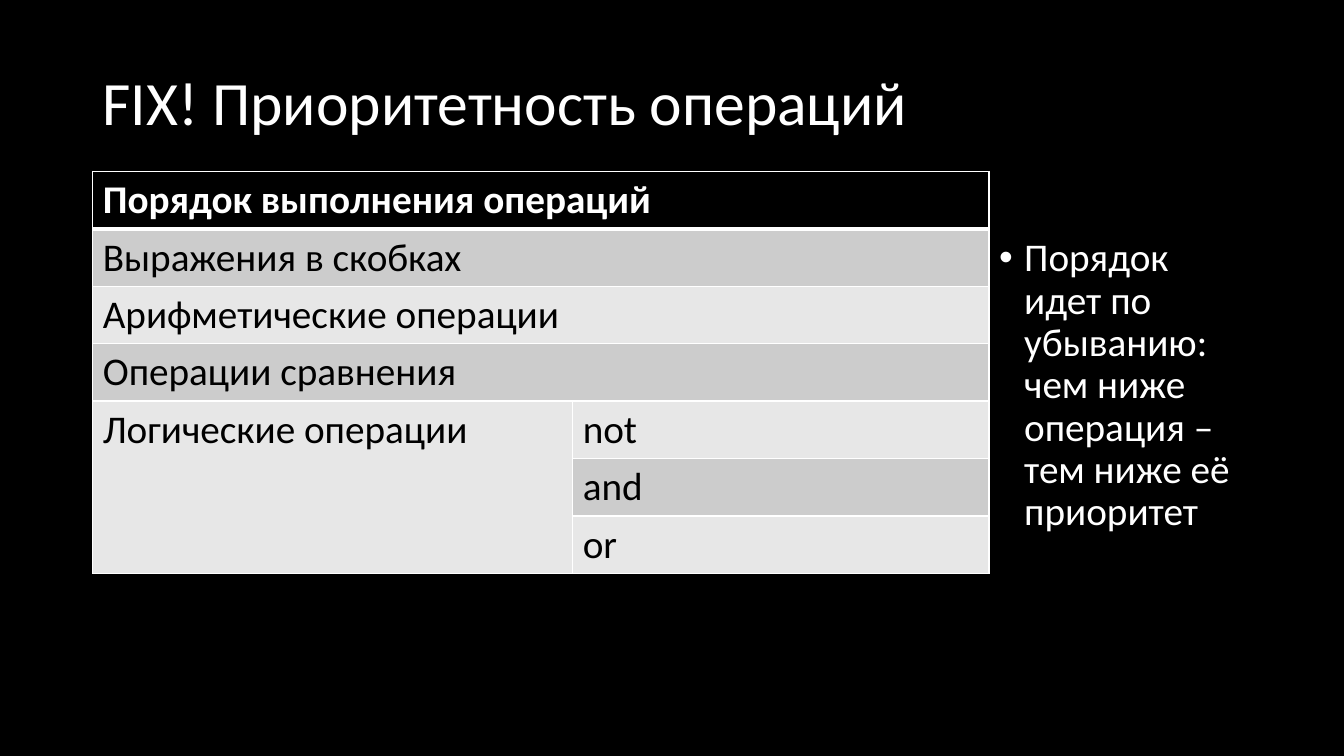
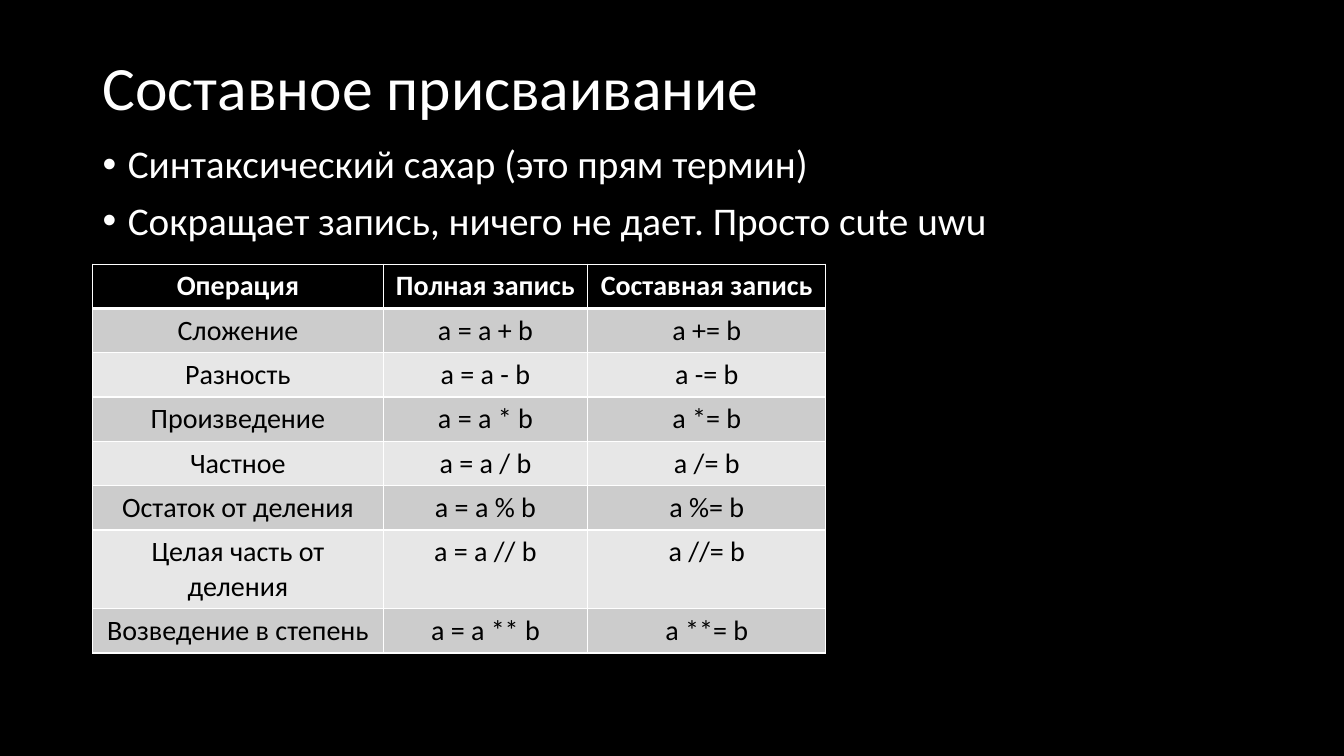
from dataclasses import dataclass

from lxml.etree import SubElement
from pptx import Presentation
from pptx.dml.color import RGBColor
from pptx.enum.text import MSO_ANCHOR, PP_ALIGN
from pptx.oxml.ns import qn
from pptx.slide import Slide
from pptx.table import _Cell
from pptx.text.text import TextFrame, _Paragraph
from pptx.util import Inches, Pt

BLACK, WHITE = "000000", "FFFFFF"
BANDS = ("E7E7E7", "CCCCCC")
LEFT, WIDTH = 0.92, 11.5
TITLE_TOP = 0.4
FONT = "Calibri"


@dataclass
class TextBox:
    """A text area with its place in inches."""

    left: float
    top: float
    width: float
    height: float
    lines: list[str]


@dataclass
class Grid:
    """A banded table with a header row and merged cell ranges."""

    top: float
    cols: list[float]
    heights: list[float]
    rows: list[list[str]]
    size: int
    align: PP_ALIGN
    merges: tuple[tuple[int, int, int, int], ...] = ()


@dataclass
class Page:
    """The content of one slide."""

    title: str
    title_height: float
    body: TextBox
    grid: Grid


def rgb(value: str) -> RGBColor:
    """Turn a hex string into a colour."""
    return RGBColor.from_string(value)


def add_text(p: _Paragraph, text: str, size: int, color: str, bold: bool = False) -> None:
    """Add one formatted run to a paragraph."""
    r = p.add_run()
    r.text = text
    for name, value in {"name": FONT, "size": Pt(size), "bold": bold}.items():
        setattr(r.font, name, value)
    r.font.color.rgb = rgb(color)


def add_bullet(p: _Paragraph) -> None:
    """Give a paragraph a round bullet with a hanging indent."""
    pPr = p._p.get_or_add_pPr()
    pPr.set("marL", str(Inches(0.25)))
    pPr.set("indent", str(-Inches(0.25)))
    SubElement(pPr, qn("a:buFont"), typeface="Arial")
    SubElement(pPr, qn("a:buChar"), char="•")


def add_box(s: Slide, box: TextBox) -> TextFrame:
    """Add a wrapping text box and return its text frame."""
    sp = s.shapes.add_textbox(*map(Inches, (box.left, box.top, box.width, box.height)))
    tf = sp.text_frame
    tf.word_wrap = True
    return tf


def add_title(s: Slide, text: str, height: float) -> None:
    """Add the slide title."""
    tf = add_box(s, TextBox(LEFT, TITLE_TOP, WIDTH, height, [text]))
    tf.vertical_anchor = MSO_ANCHOR.MIDDLE
    p = tf.paragraphs[0]
    p.line_spacing = 0.9
    add_text(p, text, 44, WHITE)


def add_body(s: Slide, box: TextBox) -> None:
    """Add the bulleted text."""
    tf = add_box(s, box)
    for i, line in enumerate(box.lines):
        p = tf.add_paragraph() if i else tf.paragraphs[0]
        for name, value in {"line_spacing": 0.9, "space_before": Pt(10)}.items():
            setattr(p, name, value)
        add_bullet(p)
        add_text(p, line, 28, WHITE)


def add_borders(cell: _Cell, row: int) -> None:
    """Draw white cell borders, with a thick rule under the header."""
    tcPr = cell._tc.get_or_add_tcPr()
    widths = {"L": 1, "R": 1, "T": 3 if row == 1 else 1, "B": 3 if row == 0 else 1}
    for side, width in widths.items():
        ln = SubElement(tcPr, qn(f"a:ln{side}"), w=str(Pt(width)))
        SubElement(SubElement(ln, qn("a:solidFill")), qn("a:srgbClr"), val=WHITE)


def add_grid(s: Slide, grid: Grid) -> None:
    """Add the table, its merged cells and its banding."""
    sp = s.shapes.add_table(
        len(grid.rows), len(grid.cols), Inches(LEFT), Inches(grid.top),
        Inches(sum(grid.cols)), Inches(sum(grid.heights)),
    )
    table = sp.table
    for col, width in zip(table.columns, grid.cols):
        col.width = Inches(width)
    for row, height in zip(table.rows, grid.heights):
        row.height = Inches(height)
    for top, left, bottom, right in grid.merges:
        table.cell(top, left).merge(table.cell(bottom, right))
    for i, texts in enumerate(grid.rows):
        header = i == 0
        for j, text in enumerate(texts):
            cell = table.cell(i, j)
            add_borders(cell, i)
            cell.fill.solid()
            cell.fill.fore_color.rgb = rgb(BLACK if header else BANDS[i % 2])
            if text:
                p = cell.text_frame.paragraphs[0]
                p.alignment = grid.align
                add_text(p, text, grid.size, WHITE if header else BLACK, header)


PRIORITY = Grid(
    1.7, [4.76, 4.13], [0.57] * 7,
    [
        ["Порядок выполнения операций", ""],
        ["Выражения в скобках", ""],
        ["Арифметические операции", ""],
        ["Операции сравнения", ""],
        ["Логические операции", "not"],
        ["", "and"],
        ["", "or"],
    ],
    28, PP_ALIGN.LEFT,
    (*((i, 0, i, 1) for i in range(4)), (4, 0, 6, 0)),
)

OPERATORS = [
    ("Сложение", "+"),
    ("Разность", "-"),
    ("Произведение", "*"),
    ("Частное", "/"),
    ("Остаток от деления", "%"),
    ("Целая часть от деления", "//"),
    ("Возведение в степень", "**"),
]

ASSIGNMENT = Grid(
    2.62, [2.88, 2.03, 2.36], [0.44] * 6 + [0.78, 0.44],
    [["Операция", "Полная запись", "Составная запись"]]
    + [[name, f"a = a {op} b", f"a {op}= b"] for name, op in OPERATORS],
    20, PP_ALIGN.CENTER,
)

PAGES = [
    Page(
        "FIX! Приоритетность операций", 1.3,
        TextBox(9.81, 2.31, 2.61, 4.15, [
            "Порядок идет по убыванию: чем ниже операция – тем ниже её приоритет",
        ]),
        PRIORITY,
    ),
    Page(
        "Составное присваивание", 0.99,
        TextBox(LEFT, 1.39, WIDTH, 1.24, [
            "Синтаксический сахар (это прям термин)",
            "Сокращает запись, ничего не дает. Просто cute uwu",
        ]),
        ASSIGNMENT,
    ),
]


def main() -> None:
    """Build and save the presentation."""
    prs = Presentation()
    prs.slide_width, prs.slide_height = Inches(13.33), Inches(7.5)
    for page in PAGES:
        s = prs.slides.add_slide(prs.slide_layouts[6])
        s.background.fill.solid()
        s.background.fill.fore_color.rgb = rgb(BLACK)
        add_title(s, page.title, page.title_height)
        add_body(s, page.body)
        add_grid(s, page.grid)
    prs.save("out.pptx")


if __name__ == "__main__":
    main()
